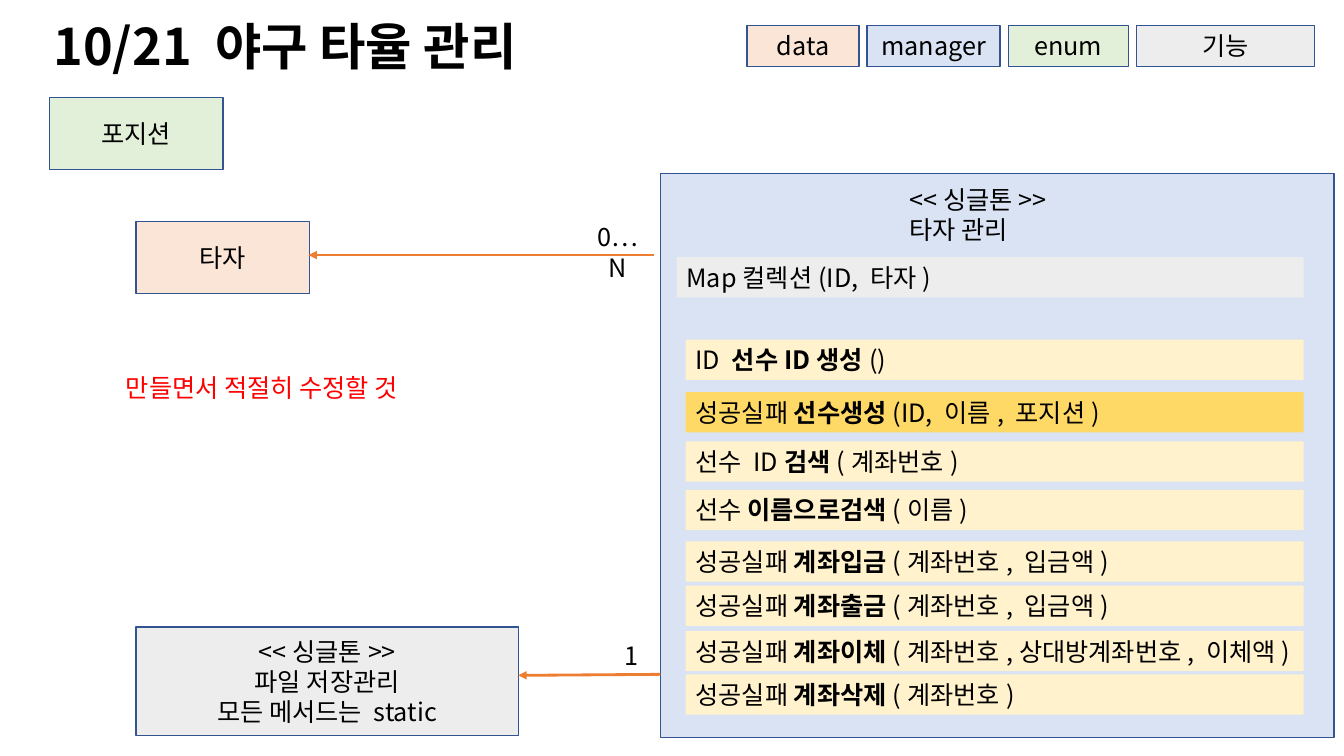
"""Build the class diagram slide for the batting average manager."""
from lxml import etree
from pptx import Presentation
from pptx.dml.color import RGBColor
from pptx.enum.shapes import MSO_CONNECTOR, MSO_SHAPE
from pptx.enum.text import MSO_ANCHOR, PP_ALIGN
from pptx.oxml.ns import qn
from pptx.util import Inches, Pt

RECTANGLE, STRAIGHT = MSO_SHAPE.RECTANGLE, MSO_CONNECTOR.STRAIGHT
TOP, MIDDLE = MSO_ANCHOR.TOP, MSO_ANCHOR.MIDDLE
LEFT, CENTER = PP_ALIGN.LEFT, PP_ALIGN.CENTER
FONT = "Noto Sans CJK KR"
DATA, MANAGER, ENUM, FEATURE = "FBE5D6", "DAE3F3", "E2F0D9", "EDEDED"
METHOD, KEY_METHOD = "FFF2CC", "FFD966"
BORDER, ARROW, BLACK, RED = "325491", "ED7D31", "000000", "FF0000"

LEGEND = [("data", 1.11, DATA), ("manager", 1.32, MANAGER),
          ("enum", 1.19, ENUM), ("기능", 1.77, FEATURE)]
LEGEND_LEFT, LEGEND_TOP, LEGEND_HEIGHT, LEGEND_GAP = 7.41, 0.25, 0.41, 0.08

CLASSES = [
    (["포지션"], (0.49, 0.97, 1.72, 0.71), ENUM),
    (["타자"], (1.35, 2.2, 1.72, 0.71), DATA),
    (["<<싱글톤>>", "파일 저장관리", "모든 메서드는 static"],
     (1.35, 6.22, 3.79, 1.08), FEATURE),
    ([], (6.55, 1.72, 6.68, 5.6), MANAGER),
]

ROW_HEIGHT, ROW_LEFT, ROW_RIGHT = 0.4, 6.8, 12.93
COLLECTION = ("Map컬렉션(ID, 타자)", 6.71, 2.55)
METHODS = [
    (3.37, "ID ", "선수ID생성", "()", METHOD),
    (3.89, "성공실패 ", "선수생성", "(ID, 이름, 포지션)", KEY_METHOD),
    (4.38, "선수 ID", "검색", "(계좌번호)", METHOD),
    (4.86, "선수 ", "이름으로검색", "(이름)", METHOD),
    (5.37, "성공실패 ", "계좌입금", "(계좌번호, 입금액)", METHOD),
    (5.81, "성공실패 ", "계좌출금", "(계좌번호, 입금액)", METHOD),
    (6.26, "성공실패 ", "계좌이체", "(계좌번호,상대방계좌번호, 이체액)", METHOD),
    (6.69, "성공실패 ", "계좌삭제", "(계좌번호)", METHOD),
]

LABELS = [
    (["10/21 야구 타율 관리"], (0.43, 0.1, 5.15, 0.71), LEFT, 36, BLACK, True),
    (["<<싱글톤>>", "타자 관리"], (8.92, 1.78, 1.67, 0.71), LEFT, 18, BLACK, False),
    (["만들면서 적절히 수정할 것"], (1.15, 3.64, 3.25, 0.4), LEFT, 18, RED, False),
    (["0…N"], (5.77, 2.15, 0.72, 0.4), CENTER, 18, BLACK, False),
    (["1"], (6.09, 6.3, 0.34, 0.4), CENTER, 18, BLACK, False),
]
ARROWS = [((6.49, 2.53), (3.06, 2.53)), ((6.55, 6.69), (5.14, 6.7))]


def color(value):
    return RGBColor.from_string(value)


def write(box, lines, align, anchor, size=18, ink=BLACK):
    """Fill a box with lines, each a list of (text, bold) spans."""
    frame = box.text_frame
    frame.word_wrap = True
    frame.vertical_anchor = anchor
    for index, spans in enumerate(lines):
        para = frame.add_paragraph() if index else frame.paragraphs[0]
        para.alignment = align
        for text, bold in spans:
            span = para.add_run()
            span.text = text
            span.font.size, span.font.bold, span.font.name = Pt(size), bold, FONT
            span.font.color.rgb = color(ink)
            east_asian = etree.SubElement(span.font._element, qn("a:ea"))
            east_asian.set("typeface", FONT)


def plain(texts, bold=False):
    return [[(text, bold)] for text in texts]


def add_box(place, fill, border=None):
    box = page.shapes.add_shape(RECTANGLE, *map(Inches, place))
    box.shadow.inherit = False
    box.fill.solid()
    box.fill.fore_color.rgb = color(fill)
    if border:
        box.line.color.rgb = color(border)
        box.line.width = Pt(1)
    else:
        box.line.fill.background()
    return box


def add_row(left, top, spans, fill):
    box = add_box((left, top, ROW_RIGHT - left, ROW_HEIGHT), fill)
    write(box, [spans], LEFT, TOP)


def add_arrow(start, end):
    arrow = page.shapes.add_connector(STRAIGHT, *map(Inches, start + end))
    arrow.line.color.rgb = color(ARROW)
    arrow.line.width = Pt(2)
    etree.SubElement(arrow.line._get_or_add_ln(), qn("a:tailEnd")).set("type", "triangle")
    etree.SubElement(arrow._element.spPr, qn("a:effectLst"))


deck = Presentation()
deck.slide_width, deck.slide_height = Inches(13.33), Inches(7.5)
page = deck.slides.add_slide(deck.slide_layouts[6])

left = LEGEND_LEFT
for name, width, fill in LEGEND:
    box = add_box((left, LEGEND_TOP, width, LEGEND_HEIGHT), fill, BORDER)
    write(box, plain([name]), CENTER, MIDDLE)
    left += width + LEGEND_GAP

for texts, place, fill in CLASSES:
    write(add_box(place, fill, BORDER), plain(texts), CENTER, MIDDLE)

collection, left, top = COLLECTION
add_row(left, top, [(collection, False)], FEATURE)
for top, result, method, arguments, fill in METHODS:
    add_row(ROW_LEFT, top, [(result, False), (method, True), (arguments, False)], fill)

for start, end in ARROWS:
    add_arrow(start, end)

for texts, place, align, size, ink, bold in LABELS:
    box = page.shapes.add_textbox(*map(Inches, place))
    write(box, plain(texts, bold), align, TOP, size, ink)

deck.save("out.pptx")
